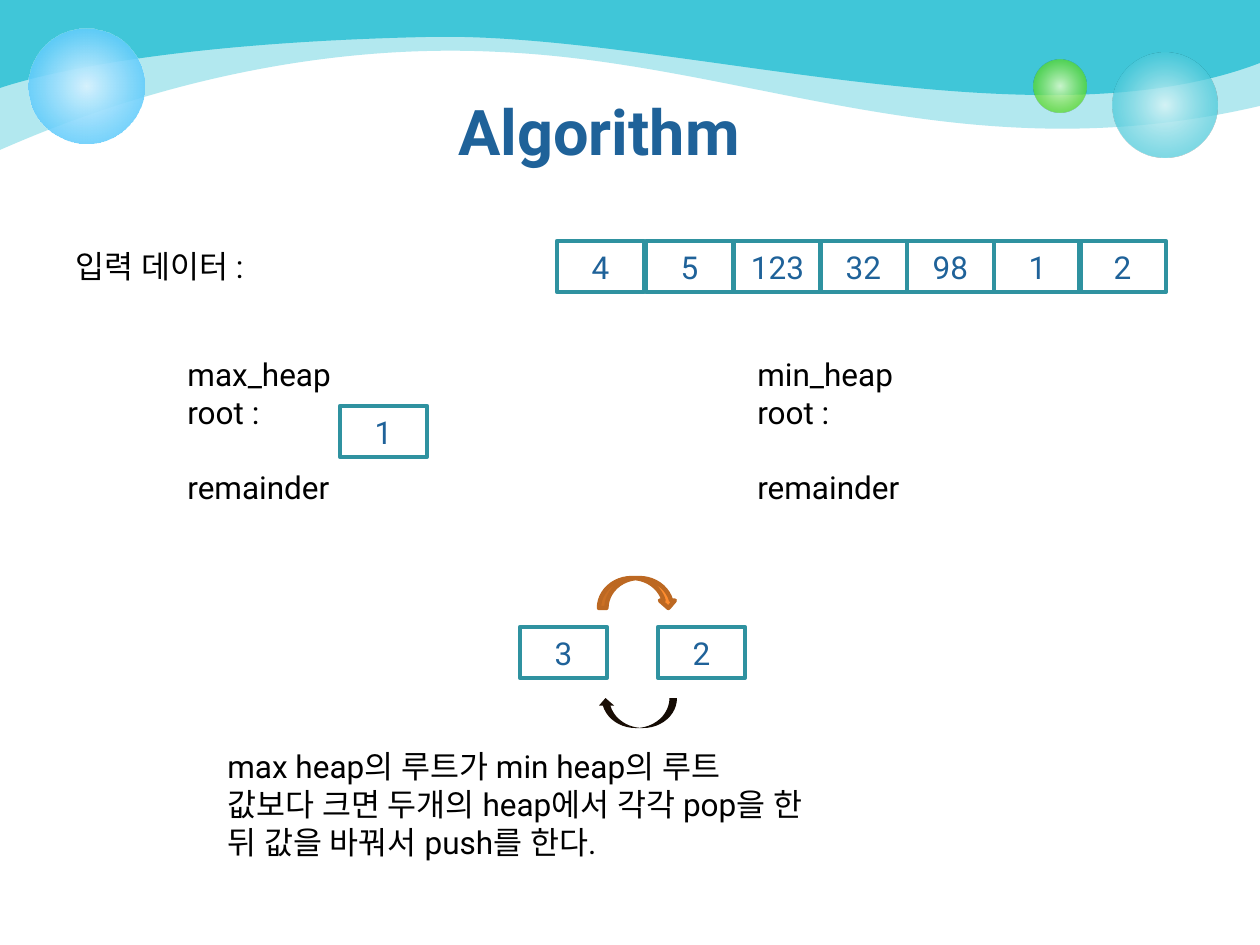
from lxml.etree import SubElement
from pptx import Presentation
from pptx.dml.color import RGBColor
from pptx.enum.shapes import MSO_SHAPE
from pptx.enum.text import MSO_ANCHOR, PP_ALIGN
from pptx.oxml import parse_xml
from pptx.oxml.ns import nsdecls, qn
from pptx.util import Pt

PX = 9144000 // 1260
FONT = "Roboto"
BLACK = RGBColor(0, 0, 0)
BLUE = RGBColor(0x1F, 0x62, 0x99)
TEAL = RGBColor(0x2F, 0x92, 0xA0)
AQUA = RGBColor(0x40, 0xC6, 0xD8)
ORANGE = RGBColor(0xFE, 0x8C, 0x2E)
RUST = RGBColor(0xBC, 0x68, 0x22)
DARK = RGBColor(0x1A, 0x0E, 0x05)

WAVES = [
    ([(0, 150), (42, 132), (248, 39), (499, 52),
      (750, 63), (960, 176), (1260, 106)], 40),
    ([(0, 88), (57, 69), (193, 42), (430, 37),
      (667, 32), (1033, 150), (1260, 63)], 100),
]
BALLS = [
    (1113, 53, 105, [(0, "D9F4F7", 90), (76, "40C6D8", 70)]),
    (1034, 60, 53, [(0, "DAFACD", 90), (76, "4CD416", 70)]),
    (29, 29, 115, [(0, "D6F2FE", 100), (100, "33BDFB", 80)]),
]
HEAPS = [("min_heap", 745, 378), ("max_heap", 175, 295)]
NOTES = [
    ("입력 데이터 :", 63, 241, 204, 50),
    ("max heap의 루트가 min heap의 루트 값보다 크면 두개의 heap에서 "
     "각각 pop을 한 뒤 값을 바꿔서 push를 한다.", 215, 741, 606, 127),
]
INPUT = [("4", 557), ("5", 646), ("123", 734), ("32", 820),
         ("98", 907), ("1", 994), ("2", 1079)]
CELLS = [("3", 520, 627), ("2", 658, 627)]
CELLS += [(word, x, 241) for word, x in INPUT]
CELLS += [("1", 340, 406)]
ARROWS = [
    (MSO_SHAPE.CURVED_DOWN_ARROW, (599, 578, 77, 30), ORANGE, RUST, False),
    (MSO_SHAPE.CURVED_UP_ARROW, (598, 698, 79, 30), DARK, None, True),
]

deck = Presentation()
deck.slide_width, deck.slide_height = 1260 * PX, 945 * PX
slide = deck.slides.add_slide(deck.slide_layouts[6])
shapes = slide.shapes


def box(*nums):
    return [n * PX for n in nums]


def paint(shape, fill, line):
    shape.shadow.inherit = False
    if fill is None:
        shape.fill.background()
    else:
        shape.fill.solid()
        shape.fill.fore_color.rgb = fill
    if line is None:
        shape.line.fill.background()
    else:
        shape.line.color.rgb = line
        shape.line.width = Pt(2.5)


def write(frame, lines, color=BLACK, size=18, bold=False, align=PP_ALIGN.LEFT):
    frame.word_wrap = True
    for i, line in enumerate(lines):
        para = frame.add_paragraph() if i else frame.paragraphs[0]
        para.alignment = align
        run = para.add_run()
        run.text = line
        form = {"name": FONT, "size": Pt(size), "bold": bold}
        for key, val in form.items():
            setattr(run.font, key, val)
        run.font.color.rgb = color
        SubElement(run._r.get_or_add_rPr(), qn("a:ea"), typeface=FONT)
    return para


def label(lines, place, **form):
    frame = shapes.add_textbox(*box(*place)).text_frame
    return write(frame, lines, **form)


def bend(shape):
    legs = shape._element.findall(".//" + qn("a:lnTo"))[1:-1]
    for i in range(0, len(legs), 3):
        arc = parse_xml(f'<a:cubicBezTo {nsdecls("a")}/>')
        legs[i].addprevious(arc)
        for leg in legs[i:i + 3]:
            arc.append(leg[0])
            leg.getparent().remove(leg)


for dots, alpha in WAVES:
    pen = shapes.build_freeform(0, 0)
    pen.add_line_segments([box(*dot) for dot in dots + [(1260, 0)]], close=True)
    wave = pen.convert_to_shape()
    bend(wave)
    paint(wave, AQUA, None)
    if alpha < 100:
        tone = wave._element.spPr.find(".//" + qn("a:srgbClr"))
        SubElement(tone, qn("a:alpha"), val=str(alpha * 1000))

for x, y, size, stops in BALLS:
    ball = shapes.add_shape(MSO_SHAPE.OVAL, *box(x, y, size, size))
    paint(ball, AQUA, None)
    marks = "".join(
        f'<a:gs pos="{pos * 1000}"><a:srgbClr val="{tone}">'
        f'<a:alpha val="{alpha * 1000}"/></a:srgbClr></a:gs>'
        for pos, tone, alpha in stops)
    grad = parse_xml(
        f'<a:gradFill {nsdecls("a")} rotWithShape="1"><a:gsLst>{marks}</a:gsLst>'
        '<a:path path="circle"><a:fillToRect l="50000" t="50000" r="50000" '
        'b="50000"/></a:path></a:gradFill>')
    props = ball._element.spPr
    props.replace(props.find(qn("a:solidFill")), grad)

label(["Algorithm"], (32, 86, 1134, 158), color=BLUE, size=36, bold=True,
      align=PP_ALIGN.CENTER)
for name, x, wide in HEAPS:
    last = label([name, "root :", "remainder"], (x, 349, wide, 165))
    last.space_before = Pt(21.5)

for word, x, y in CELLS:
    cell = shapes.add_shape(MSO_SHAPE.RECTANGLE, *box(x, y, 87, 51))
    paint(cell, None, TEAL)
    cell.text_frame.vertical_anchor = MSO_ANCHOR.MIDDLE
    write(cell.text_frame, [word], color=BLUE, align=PP_ALIGN.CENTER)
    cell.text_frame.word_wrap = False

for text, *place in NOTES:
    label([text], place)

for kind, place, fill, line, flip in ARROWS:
    arrow = shapes.add_shape(kind, *box(*place))
    paint(arrow, fill, line)
    if flip:
        arrow._element.spPr.find(qn("a:xfrm")).set("flipH", "1")

deck.save("out.pptx")
